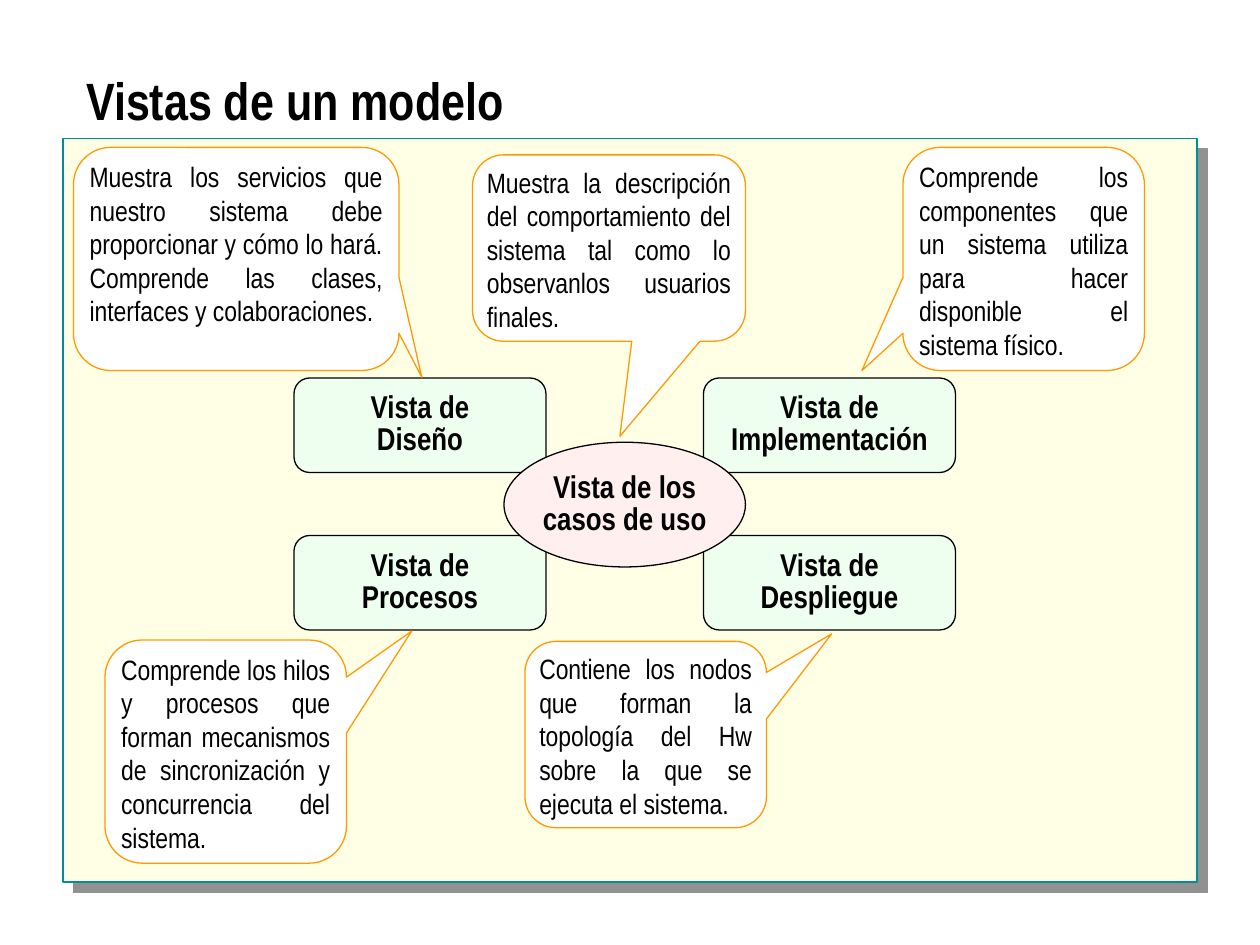
from lxml import etree
from pptx import Presentation
from pptx.dml.color import RGBColor
from pptx.enum.shapes import MSO_SHAPE as Shape
from pptx.enum.text import MSO_ANCHOR as Anchor, MSO_AUTO_SIZE as AutoSize, PP_ALIGN as Align
from pptx.oxml.ns import qn
from pptx.util import Pt

THEME = {
    "font": "Arial Narrow", "title": 30, "view": 18, "note": 16,
    "ink": "000000", "panel": "FFFFE5", "panel_line": "009094", "shadow": "919191",
    "box": "EFFFEF", "center": "FFEFEF", "callout": "FFFFFF", "callout_line": "FF9900",
}


def add_figure(kind, bounds, fill, line, width=0.75):
    figure = slide.shapes.add_shape(kind, *map(Pt, bounds))
    figure.shadow.inherit = False
    figure.fill.solid()
    figure.fill.fore_color.rgb = RGBColor.from_string(THEME[fill])
    figure.line.color.rgb = RGBColor.from_string(THEME[line])
    figure.line.width = Pt(width)
    return figure


def write(figure, text, size, bold, insets, frame_format, paragraph_format):
    frame = figure.text_frame
    frame.text = text
    across, down = map(Pt, insets)
    margins = {"margin_left": across, "margin_right": across,
               "margin_top": down, "margin_bottom": down}
    for name, value in {"word_wrap": True, **margins, **frame_format}.items():
        setattr(frame, name, value)
    font_format = {"name": THEME["font"], "size": Pt(THEME[size]), "bold": bold}
    for paragraph in frame.paragraphs:
        for name, value in paragraph_format.items():
            setattr(paragraph, name, value)
        for run in paragraph.runs:
            for name, value in font_format.items():
                setattr(run.font, name, value)
            run.font.color.rgb = RGBColor.from_string(THEME["ink"])


deck = Presentation()
deck.slide_width, deck.slide_height = Pt(720), Pt(540)
slide = deck.slides.add_slide(deck.slide_layouts[5])

# Title
title = slide.shapes.title
title.left, title.top, title.width, title.height = map(Pt, (42, 42, 636, 36))
write(title, "Vistas de un modelo", "title", True, (7.2, 3.6),
      {"vertical_anchor": Anchor.BOTTOM, "auto_size": AutoSize.NONE},
      {"alignment": Align.LEFT, "line_spacing": 0.8, "space_before": Pt(0)})

# Panel with a hard shadow
panel = add_figure(Shape.RECTANGLE, (36, 79.2, 648, 424.8), "panel", "panel_line", 1)
effects = panel._element.spPr.find(qn("a:effectLst"))
shadow = etree.SubElement(effects, qn("a:outerShdw"), blurRad="0", dist=str(Pt(8.5)),
                          dir="2700000", algn="ctr", rotWithShape="0")
etree.SubElement(shadow, qn("a:srgbClr"), val=THEME["shadow"])

# Four views around the use cases
VIEW_FRAME = {"vertical_anchor": Anchor.MIDDLE}
VIEW_PARAGRAPH = {"alignment": Align.CENTER, "line_spacing": 0.85}
views = [
    ["Vista de\nDiseño", "Vista de Implementación"],
    ["Vista de\nProcesos", "Vista de Despliegue"],
]
for row, pair in enumerate(views):
    for column, view in enumerate(pair):
        box = add_figure(Shape.FLOWCHART_ALTERNATE_PROCESS,
                         (168 + 234 * column, 216 + 90 * row, 144, 54), "box", "ink")
        write(box, view, "view", True, (3, 0.75), VIEW_FRAME, VIEW_PARAGRAPH)

use_cases = add_figure(Shape.OVAL, (288, 252.75, 138, 71.25), "center", "ink")
write(use_cases, "Vista de los casos de uso", "view", True, (0, 0),
      VIEW_FRAME, VIEW_PARAGRAPH)

# Callouts: bounds, pointer tip relative to the centre, explanation
callouts = [
    ((270, 88.5, 156, 106.5), (0.04, 1.01),
     "Muestra la descripción del comportamiento del sistema tal como lo "
     "observanlos usuarios finales."),
    ((42, 84.25, 186, 127.5), (0.57, 0.53),
     "Muestra los servicios que nuestro sistema debe proporcionar y cómo lo hará. "
     "Comprende las clases, interfaces y colaboraciones."),
    ((516, 84.25, 138, 127.5), (-0.67, 0.5),
     "Comprende los componentes que un sistema utiliza para hacer disponible "
     "el sistema físico."),
    ((60, 365.75, 138, 127.5), (0.77, -0.54),
     "Comprende los hilos y procesos que forman mecanismos de sincronización y "
     "concurrencia del sistema."),
    ((300, 366.5, 138, 106.5), (0.77, -0.54),
     "Contiene los nodos que forman la topología del Hw sobre la que se ejecuta "
     "el sistema."),
]
for bounds, tip, explanation in callouts:
    callout = add_figure(Shape.ROUNDED_RECTANGULAR_CALLOUT, bounds, "callout", "callout_line")
    callout.adjustments[0], callout.adjustments[1] = tip
    write(callout, explanation, "note", False, (3, 0.75),
          {"vertical_anchor": Anchor.TOP, "auto_size": AutoSize.SHAPE_TO_FIT_TEXT},
          {"alignment": Align.JUSTIFY})

deck.save("out.pptx")
